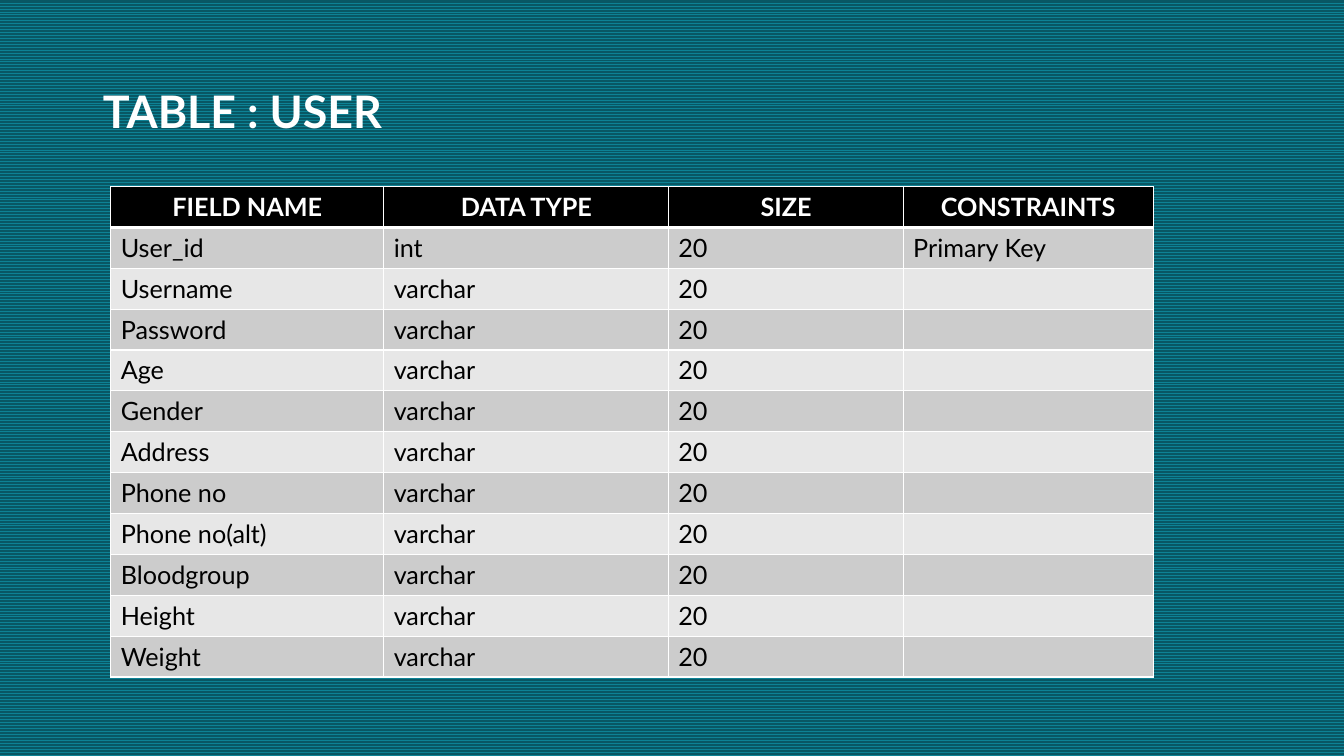
import pptx
import pptx.dml.color
import pptx.enum.dml
import pptx.enum.text
import pptx.oxml
import pptx.oxml.ns
import pptx.util
from pptx.util import Cm

RGB = pptx.dml.color.RGBColor
WHITE = RGB(0xFF, 0xFF, 0xFF)
BLACK = RGB(0x00, 0x00, 0x00)
TEAL = RGB(0x0D, 0x82, 0x95)
DARK_TEAL = RGB(0x08, 0x57, 0x64)
DARK_BAND = RGB(0xCC, 0xCC, 0xCC)
LIGHT_BAND = RGB(0xE7, 0xE7, 0xE7)
FONT = "Lato"

TABLE_TOP = Cm(4.7)
ROW_HEIGHT = Cm(1.03)

FIELDS = ["User_id", "Username", "Password", "Age", "Gender", "Address",
          "Phone no", "Phone no(alt)", "Bloodgroup", "Height", "Weight"]
TYPES = ["int"] + ["varchar"] * (len(FIELDS) - 1)
SIZES = ["20"] * len(FIELDS)
CONSTRAINTS = ["Primary Key"] + [""] * (len(FIELDS) - 1)


def format_runs(p, size, color, bold):
    for r in p.runs:
        r.font.name = FONT
        r.font.size = pptx.util.Pt(size)
        r.font.color.rgb = color
        r.font.bold = bold


def set_background(slide):
    fill = slide.background.fill
    fill.patterned()
    fill.pattern = pptx.enum.dml.MSO_PATTERN.ZIG_ZAG
    fill.fore_color.rgb = TEAL
    fill.back_color.rgb = DARK_TEAL


def set_title(slide, text):
    sp = slide.shapes.title
    sp.left, sp.top, sp.width, sp.height = Cm(2.34), Cm(1.02), Cm(29.21), Cm(3.68)
    tf = sp.text_frame
    tf.text = text
    tf.vertical_anchor = pptx.enum.text.MSO_ANCHOR.MIDDLE
    p = tf.paragraphs[0]
    p.alignment = pptx.enum.text.PP_ALIGN.LEFT
    p.line_spacing = 0.9
    format_runs(p, 32, WHITE, True)


def set_borders(cell, bottom):
    tc_pr = cell._tc.get_or_add_tcPr()
    for side, width in (("L", 1), ("R", 1), ("T", 1), ("B", bottom)):
        tc_pr.append(pptx.oxml.parse_xml(
            f'<a:ln{side} {pptx.oxml.ns.nsdecls("a")} w="{pptx.util.Pt(width)}">'
            f'<a:solidFill><a:srgbClr val="{WHITE}"/></a:solidFill></a:ln{side}>'))


def fill_cell(cell, text, row):
    header = row == 0
    # Borders precede the fill in the cell properties
    set_borders(cell, 3 if header else 1)
    cell.fill.solid()
    cell.fill.fore_color.rgb = BLACK if header else DARK_BAND if row % 2 else LIGHT_BAND
    if text:
        cell.text_frame.text = text
        p = cell.text_frame.paragraphs[0]
        if header:
            p.alignment = pptx.enum.text.PP_ALIGN.CENTER
        format_runs(p, 18, WHITE if header else BLACK, header)


def add_columns(slide, left, columns):
    """Add a table from (heading, width in cm, values) columns."""
    n_rows = len(FIELDS) + 1
    width = Cm(sum(col[1] for col in columns))
    table = slide.shapes.add_table(n_rows, len(columns), Cm(left), TABLE_TOP,
                                   width, ROW_HEIGHT * n_rows).table
    for row in table.rows:
        row.height = ROW_HEIGHT
    for c, (heading, col_width, values) in enumerate(columns):
        table.columns[c].width = Cm(col_width)
        for r, text in enumerate([heading] + values):
            fill_cell(table.cell(r, c), text, r)


def main():
    prs = pptx.Presentation()
    prs.slide_width, prs.slide_height = Cm(33.87), Cm(19.05)
    slide = prs.slides.add_slide(prs.slide_layouts[5])

    # Background and title
    set_background(slide)
    set_title(slide, "TABLE : USER")

    # Three tables side by side
    add_columns(slide, 2.79, [("FIELD NAME", 6.88, FIELDS), ("DATA TYPE", 7.19, TYPES)])
    add_columns(slide, 16.84, [("SIZE", 5.94, SIZES)])
    add_columns(slide, 22.76, [("CONSTRAINTS", 6.3, CONSTRAINTS)])

    prs.save("out.pptx")


main()
